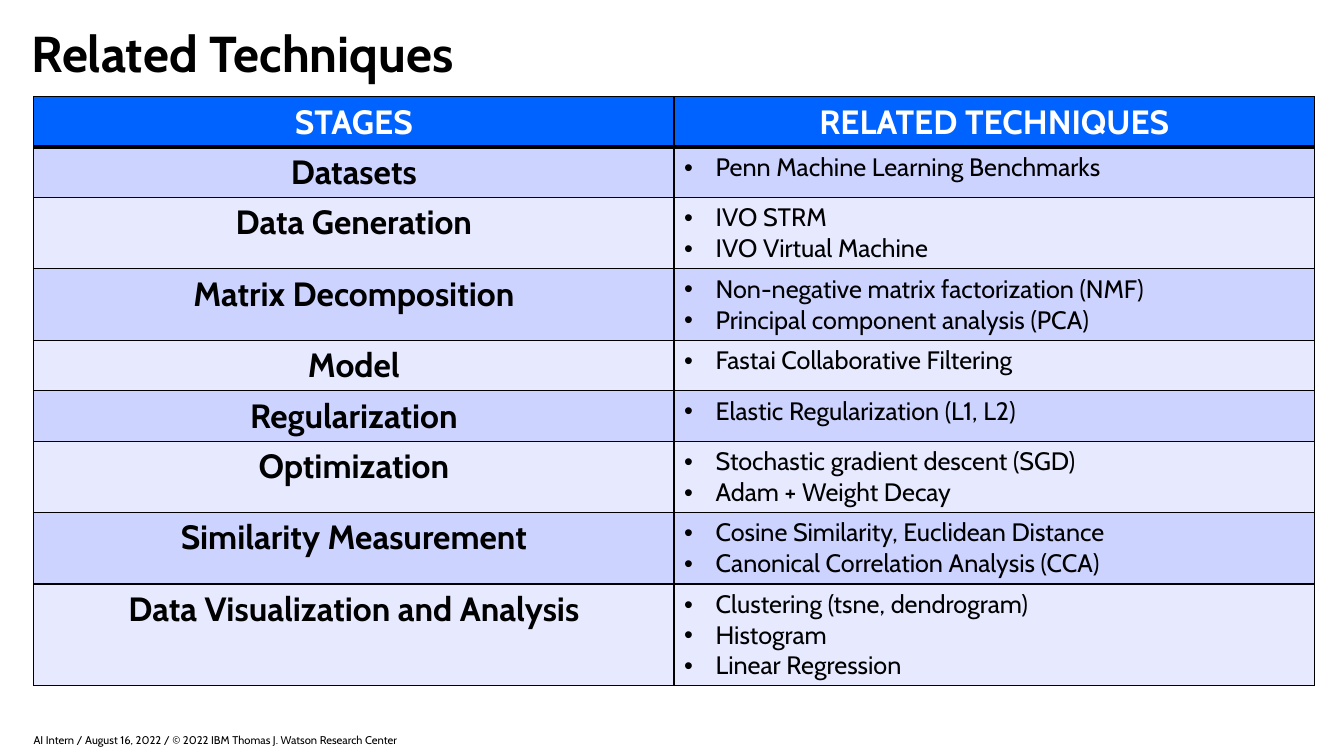
from pptx import Presentation
from pptx.dml.color import RGBColor
from pptx.enum.text import MSO_ANCHOR, PP_ALIGN
from pptx.oxml import parse_xml
from pptx.oxml.ns import nsdecls
from pptx.util import Emu, Pt

FONT = "Cabin"
BLACK, WHITE, BLUE = "000000", "FFFFFF", "0062FF"
BANDS = ("CCD3FF", "E7EAFF")
ROW_HEIGHTS = {1: 48, 2: 68, 3: 97}  # by number of techniques
HEADER_HEIGHT = 48
BULLET_INDENT = 30

HEADINGS = ("STAGES", "RELATED TECHNIQUES")
STAGES = [
    ("Datasets", ["Penn Machine Learning Benchmarks"]),
    ("Data Generation", ["IVO STRM", "IVO Virtual Machine"]),
    ("Matrix Decomposition", ["Non-negative matrix factorization (NMF)",
                              "Principal component analysis (PCA)"]),
    ("Model", ["Fastai Collaborative Filtering"]),
    ("Regularization", ["Elastic Regularization (L1, L2)"]),
    ("Optimization", ["Stochastic gradient descent (SGD)", "Adam + Weight Decay"]),
    ("Similarity Measurement", ["Cosine Similarity, Euclidean Distance",
                                "Canonical Correlation Analysis (CCA)"]),
    ("Data Visualization and Analysis", ["Clustering (tsne, dendrogram)", "Histogram",
                                         "Linear Regression"]),
]


def px(length):
    return Emu(length * 9525)


def color(value):
    return RGBColor.from_string(value)


def style(paragraph, size, value=BLACK, bold=False):
    font = paragraph.font
    font.name, font.size, font.bold = FONT, Pt(size), bold
    font.color.rgb = color(value)


def add_text(slide, box, text, size, bold=False, anchor=MSO_ANCHOR.TOP):
    frame = slide.shapes.add_textbox(*map(px, box)).text_frame
    frame.word_wrap = True
    frame.vertical_anchor = anchor
    frame.margin_left = frame.margin_right = frame.margin_top = frame.margin_bottom = 0
    paragraph = frame.paragraphs[0]
    paragraph.text = text
    style(paragraph, size, bold=bold)
    return paragraph


def add_bullet(paragraph):
    properties = paragraph._p.get_or_add_pPr()
    properties.set("marL", str(px(BULLET_INDENT)))
    properties.set("indent", str(-px(BULLET_INDENT)))
    properties.append(parse_xml(f'<a:buFont {nsdecls("a")} typeface="Arial"/>'))
    properties.append(parse_xml(f'<a:buChar {nsdecls("a")} char="•"/>'))


def set_borders(cell, top=1, bottom=1):
    """Draw the four cell borders, with widths in points."""
    properties = cell._tc.get_or_add_tcPr()
    widths = {"lnL": 1, "lnR": 1, "lnT": top, "lnB": bottom}
    for index, (side, width) in enumerate(widths.items()):
        properties.insert(index, parse_xml(
            f'<a:{side} {nsdecls("a")} w="{Pt(width)}"><a:solidFill>'
            f'<a:srgbClr val="{BLACK}"/></a:solidFill></a:{side}>'))


def fill_cell(cell, fill, **borders):
    cell.fill.solid()
    cell.fill.fore_color.rgb = color(fill)
    set_borders(cell, **borders)


def write_heading(cell, text, value):
    paragraph = cell.text_frame.paragraphs[0]
    paragraph.text = text
    paragraph.alignment = PP_ALIGN.CENTER
    style(paragraph, 24, value, bold=True)


def write_techniques(cell, techniques):
    frame = cell.text_frame
    for index, technique in enumerate(techniques):
        paragraph = frame.add_paragraph() if index else frame.paragraphs[0]
        paragraph.text = technique
        add_bullet(paragraph)
        style(paragraph, 18)


def add_stage_table(slide, left, top, width):
    heights = [HEADER_HEIGHT] + [ROW_HEIGHTS[len(items)] for _, items in STAGES]
    table = slide.shapes.add_table(len(heights), 2, px(left), px(top),
                                   px(width), px(sum(heights))).table
    table.first_row = table.horz_banding = False
    for row, height in zip(table.rows, heights):
        row.height = px(height)
    for column, heading in enumerate(HEADINGS):
        cell = table.cell(0, column)
        write_heading(cell, heading, WHITE)
        fill_cell(cell, BLUE, bottom=3)
    for row, (stage, techniques) in enumerate(STAGES, start=1):
        stage_cell, technique_cell = table.rows[row].cells
        write_heading(stage_cell, stage, BLACK)
        write_techniques(technique_cell, techniques)
        for cell in (stage_cell, technique_cell):
            fill_cell(cell, BANDS[(row - 1) % 2], top=3 if row == 1 else 1)


def build_techniques_slide(presentation):
    slide = presentation.slides.add_slide(presentation.slide_layouts[6])
    title = add_text(slide, (30, 28, 580, 111), "Related Techniques", 36, bold=True)
    title.line_spacing = 0.9
    footer = add_text(
        slide, (32, 693, 576, 23),
        "AI Intern / August 16, 2022 / © 2022 IBM Thomas J. Watson Research Center",
        8, anchor=MSO_ANCHOR.MIDDLE)
    footer.space_after = Pt(6)
    add_stage_table(slide, 32, 92, 1220)


def main():
    presentation = Presentation()
    presentation.slide_width, presentation.slide_height = px(1280), px(720)
    build_techniques_slide(presentation)
    presentation.save("out.pptx")


if __name__ == "__main__":
    main()
